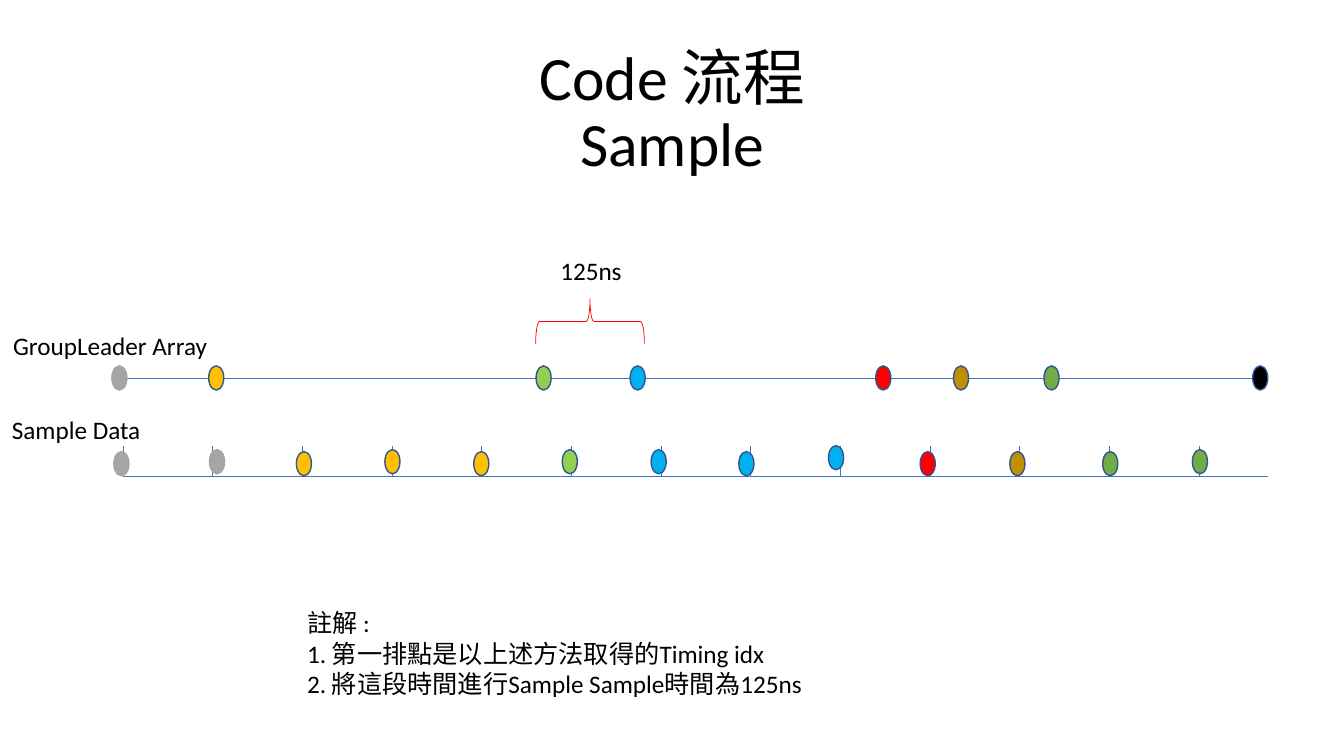
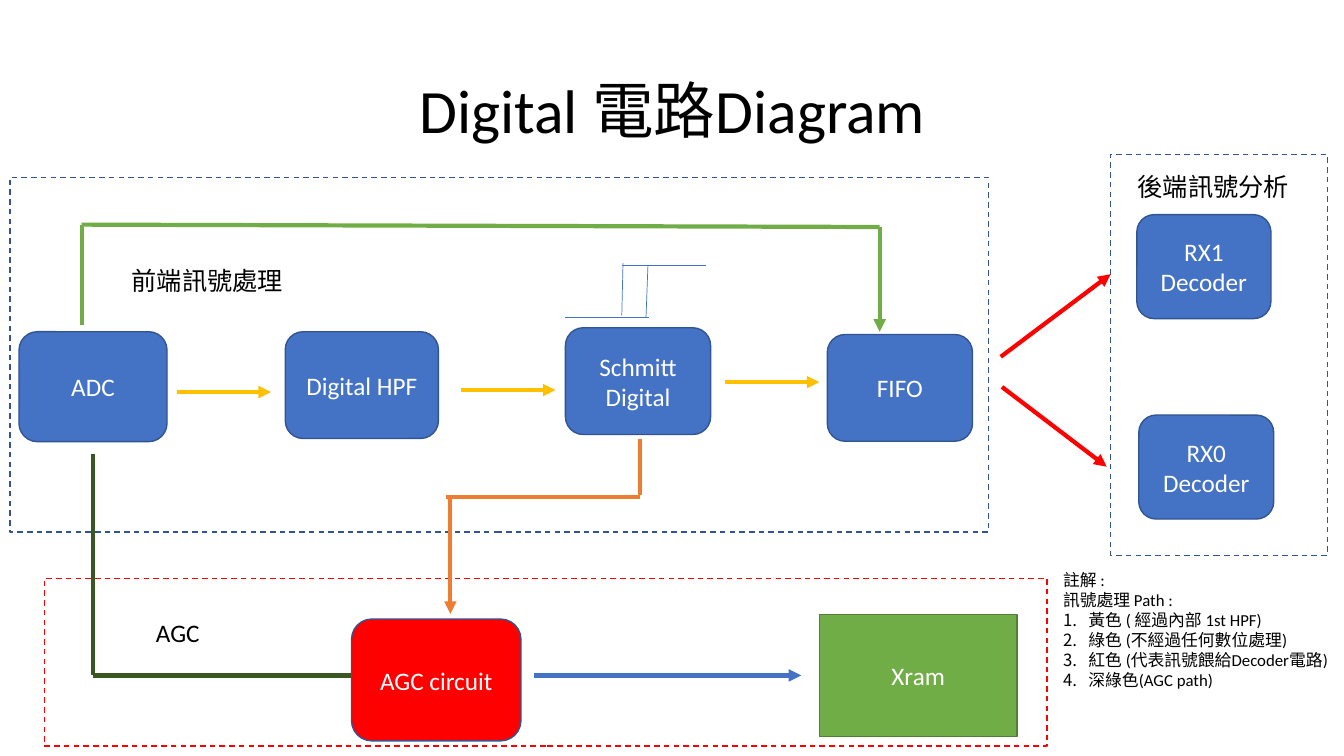
from pptx import Presentation
from pptx import util as u
from pptx.dml.color import RGBColor
from pptx.enum import dml, shapes, text
from pptx.oxml import ns, xmlchemy

COLORS = {
    "ink": "000000", "white": "FFFFFF", "blue": "4472C4", "edge": "325491",
    "gray": "A5A5A5", "yellow": "FFC000", "lime": "92D050", "sky": "00B0F0",
    "red": "FF0000", "ochre": "BF9000", "green": "70AD47", "moss": "538035",
    "forest": "385723", "orange": "ED7D31",
}
SHAPE = shapes.MSO_SHAPE
ALIGN = text.PP_ALIGN


class Sketch:
    font = "Calibri"

    def __init__(self, deck):
        self.deck = deck
        self.page = None

    def color(self, name):
        return RGBColor.from_string(COLORS[name])

    def add_page(self, *title_lines):
        self.page = self.deck.slides.add_slide(self.deck.slide_layouts[5])
        title = self.page.shapes.title
        title.left, title.top, title.width, title.height = map(u.Cm, (2.34, 1.02, 29.21, 3.68))
        frame = title.text_frame
        frame.auto_size = text.MSO_AUTO_SIZE.NONE
        frame.vertical_anchor = text.MSO_ANCHOR.MIDDLE
        para = frame.paragraphs[0]
        para.alignment = ALIGN.CENTER
        para.line_spacing = 0.9
        for index, line in enumerate(title_lines):
            if index:
                para.add_line_break()
            self.span(para, line, 44, "ink")

    def span(self, para, words, size, color):
        span = para.add_run()
        span.text = words
        span.font.name = self.font
        span.font.size = u.Pt(size)
        span.font.color.rgb = self.color(color)

    def label(self, left, top, width, height, lines, size=18, numbered_from=None):
        box = self.page.shapes.add_textbox(*map(u.Cm, (left, top, width, height)))
        frame = box.text_frame
        frame.word_wrap = True
        for index, line in enumerate(lines):
            para = frame.add_paragraph() if index else frame.paragraphs[0]
            self.span(para, line, size, "ink")
            if numbered_from is not None and index >= numbered_from:
                self.number(para)

    def number(self, para):
        properties = para._p.get_or_add_pPr()
        indent = u.Cm(0.64)
        properties.set("marL", str(indent))
        properties.set("indent", str(-indent))
        bullet = xmlchemy.OxmlElement("a:buAutoNum")
        bullet.set("type", "arabicPeriod")
        properties.append(bullet)

    def shape(self, kind, left, top, width, height, fill=None, edge="edge", weight=1):
        shape = self.page.shapes.add_shape(kind, *map(u.Cm, (left, top, width, height)))
        shape.shadow.inherit = False
        if fill:
            shape.fill.solid()
            shape.fill.fore_color.rgb = self.color(fill)
        else:
            shape.fill.background()
        shape.line.color.rgb = self.color(edge)
        shape.line.width = u.Pt(weight)
        return shape

    def dot(self, left, top, fill):
        edge = "gray" if fill == "gray" else "edge"
        self.shape(SHAPE.OVAL, left, top, 0.38, 0.61, fill, edge)

    def brace(self, left, top, width, height):
        brace = self.shape(SHAPE.RIGHT_BRACE, left, top, width, height, edge="red", weight=0.5)
        brace.rotation = 270

    def frame(self, left, top, width, height, edge="edge"):
        frame = self.shape(SHAPE.RECTANGLE, left, top, width, height, edge=edge)
        frame.line.dash_style = dml.MSO_LINE.DASH

    def block(self, words, left, top, width, height, fill="blue", edge="edge",
              kind=SHAPE.ROUNDED_RECTANGLE):
        block = self.shape(kind, left, top, width, height, fill, edge)
        block.text_frame.word_wrap = True
        block.text_frame.vertical_anchor = text.MSO_ANCHOR.MIDDLE
        para = block.text_frame.paragraphs[0]
        para.alignment = ALIGN.CENTER
        self.span(para, words, 18, "white")

    def line(self, x1, y1, x2, y2, color="blue", weight=0.5, arrow=False):
        line = self.page.shapes.add_connector(
            shapes.MSO_CONNECTOR.STRAIGHT, *map(u.Cm, (x1, y1, x2, y2)))
        line.line.color.rgb = self.color(color)
        line.line.width = u.Pt(weight)
        properties = line.element.spPr
        if arrow:
            head = xmlchemy.OxmlElement("a:tailEnd")
            head.set("type", "triangle")
            properties.find(ns.qn("a:ln")).append(head)
        properties.append(xmlchemy.OxmlElement("a:effectLst"))

    def route(self, color, *points, arrow=True):
        last = len(points) - 2
        for index, (start, end) in enumerate(zip(points, points[1:])):
            self.line(*start, *end, color, 3, arrow and index == last)


def draw_sampling(sketch):
    sketch.add_page("Code 流程", "Sample")
    sketch.line(2.82, 9.53, 31.95, 9.53)
    sketch.line(3.1, 12.01, 31.95, 12.01)
    for index in range(13):
        tick = 3.1 + 2.26 * index
        sketch.line(tick, 11.23, tick, 12.01)
    sketch.brace(14.3, 6.73, 1.14, 2.74)
    sketch.label(13.87, 6.3, 2.39, 1.02, ["125ns"])
    sketch.label(0.08, 8.2, 5.72, 1.02, ["GroupLeader Array"])
    sketch.label(0.05, 10.31, 5.72, 1.02, ["Sample Data"])
    leaders = [
        (2.82, "gray"), (5.26, "yellow"), (13.51, "lime"), (15.88, "sky"),
        (22.07, "red"), (24.03, "ochre"), (26.31, "green"), (31.57, "ink"),
    ]
    for left, color in leaders:
        sketch.dot(left, 9.22, color)
    samples = [
        (2.87, 11.38, "gray"), (5.28, 11.33, "gray"), (7.47, 11.38, "yellow"),
        (9.7, 11.33, "yellow"), (11.94, 11.38, "yellow"), (14.17, 11.33, "lime"),
        (16.41, 11.33, "sky"), (18.62, 11.38, "sky"), (20.88, 11.23, "sky"),
        (23.19, 11.38, "red"), (25.45, 11.38, "ochre"), (27.79, 11.38, "green"),
        (30.05, 11.33, "green"),
    ]
    for sample in samples:
        sketch.dot(*sample)
    sketch.label(7.49, 15.19, 16.94, 2.57, [
        "註解 : ",
        "1. 第一排點是以上述方法取得的Timing idx",
        "2. 將這段時間進行Sample Sample時間為125ns",
    ])


def draw_circuit(sketch):
    sketch.add_page("Digital 電路Diagram")
    sketch.frame(0.25, 4.47, 24.66, 8.94)
    sketch.frame(1.12, 14.58, 25.27, 4.22, "red")
    sketch.frame(27.99, 3.89, 5.46, 10.11)

    sketch.route("forest", (2.34, 11.43), (2.34, 17.02), (11.35, 17.02))
    blocks = [
        ("ADC", 0.48, 8.36, 3.73, 2.77),
        ("Digital HPF", 7.19, 8.36, 3.86, 2.69),
        ("Schmitt Digital", 14.25, 8.26, 3.66, 2.69),
        ("FIFO", 20.85, 8.43, 3.66, 2.69),
        ("RX1 Decoder", 28.65, 5.41, 3.38, 2.62),
        ("RX0 Decoder", 28.7, 10.46, 3.4, 2.62),
        ("AGC circuit", 8.86, 15.6, 4.27, 3.07, "red"),
        ("Xram", 20.65, 15.49, 4.98, 3.07, "green", "moss", SHAPE.RECTANGLE),
    ]
    for block in blocks:
        sketch.block(*block)

    for left, right, y in [(4.47, 6.83, 9.88), (11.61, 14, 9.83), (18.26, 20.65, 9.63)]:
        sketch.route("yellow", (left, y), (right, y))
    sketch.route("blue", (13.46, 17.02), (20.19, 17.02))
    sketch.route("orange", (16.13, 11.05), (16.13, 12.47), arrow=False)
    sketch.route("orange", (16.13, 12.52), (11.25, 12.52), arrow=False)
    sketch.route("orange", (11.35, 12.52), (11.35, 15.47))
    sketch.route("green", (2.06, 8.2), (2.06, 5.66), (22.17, 5.72), (22.17, 8.36))
    sketch.route("red", (25.22, 8.99), (27.99, 6.91))
    sketch.route("red", (25.25, 9.75), (27.89, 11.76))

    hysteresis = [
        (15.67, 6.68, 17.78, 6.68), (16.28, 8, 16.33, 6.68),
        (14.25, 8, 16.36, 8), (15.67, 7.95, 15.7, 6.63),
    ]
    for stroke in hysteresis:
        sketch.line(*stroke)

    sketch.label(3.68, 15.42, 2.77, 1.02, ["AGC"])
    sketch.label(3.07, 6.55, 6.96, 1.02, ["前端訊號處理"])
    sketch.label(28.42, 4.19, 6.96, 1.02, ["後端訊號分析"])
    sketch.label(26.54, 14.22, 7.39, 4.88, [
        "註解 :",
        "訊號處理 Path :",
        "黃色 ( 經過內部 1st HPF)",
        "綠色 (不經過任何數位處理)",
        "紅色 (代表訊號餵給Decoder電路)",
        "深綠色(AGC path)",
    ], size=12, numbered_from=2)


deck = Presentation()
deck.slide_width = u.Cm(33.87)
deck.slide_height = u.Cm(19.05)
sketch = Sketch(deck)
draw_sampling(sketch)
draw_circuit(sketch)
deck.save("out.pptx")
